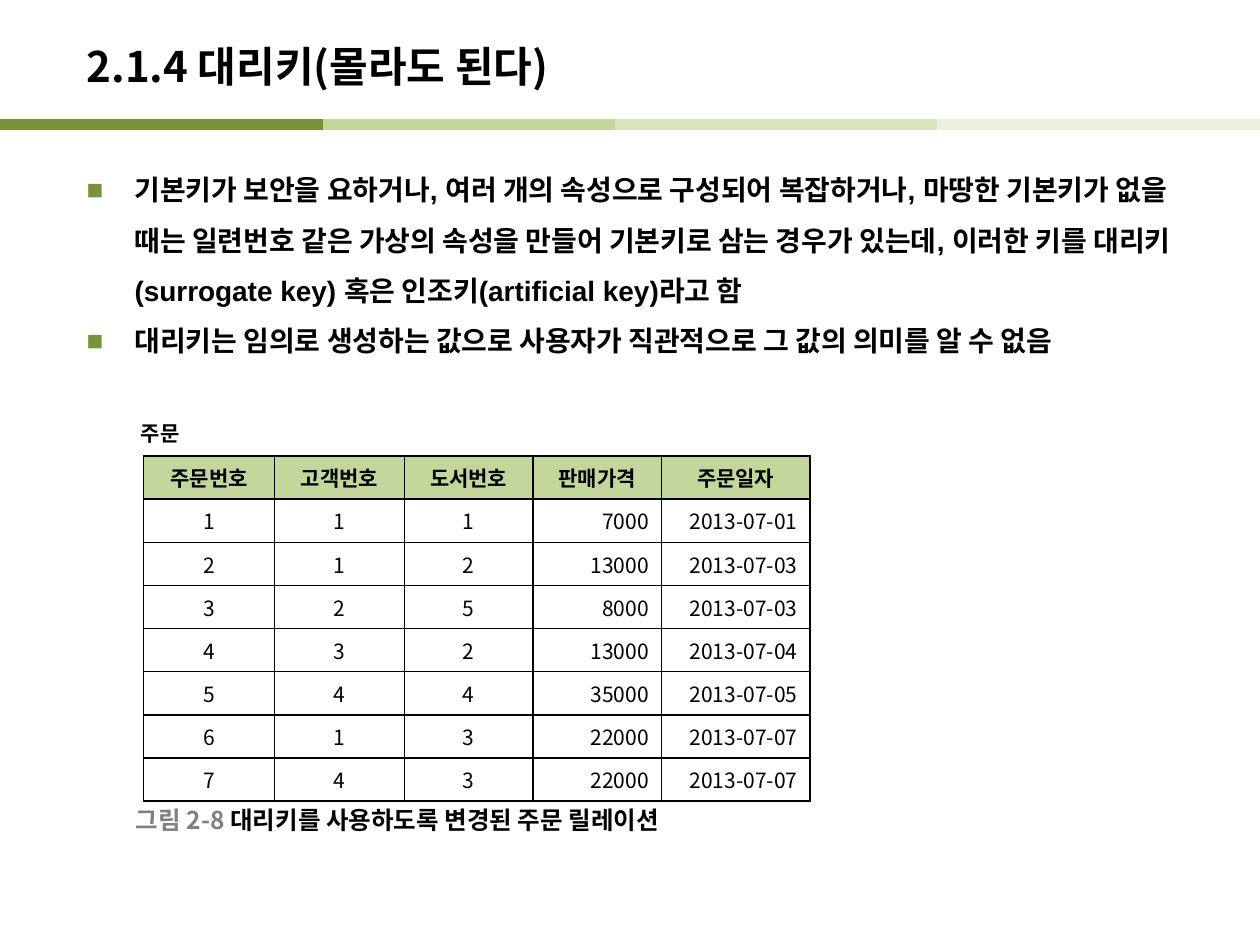
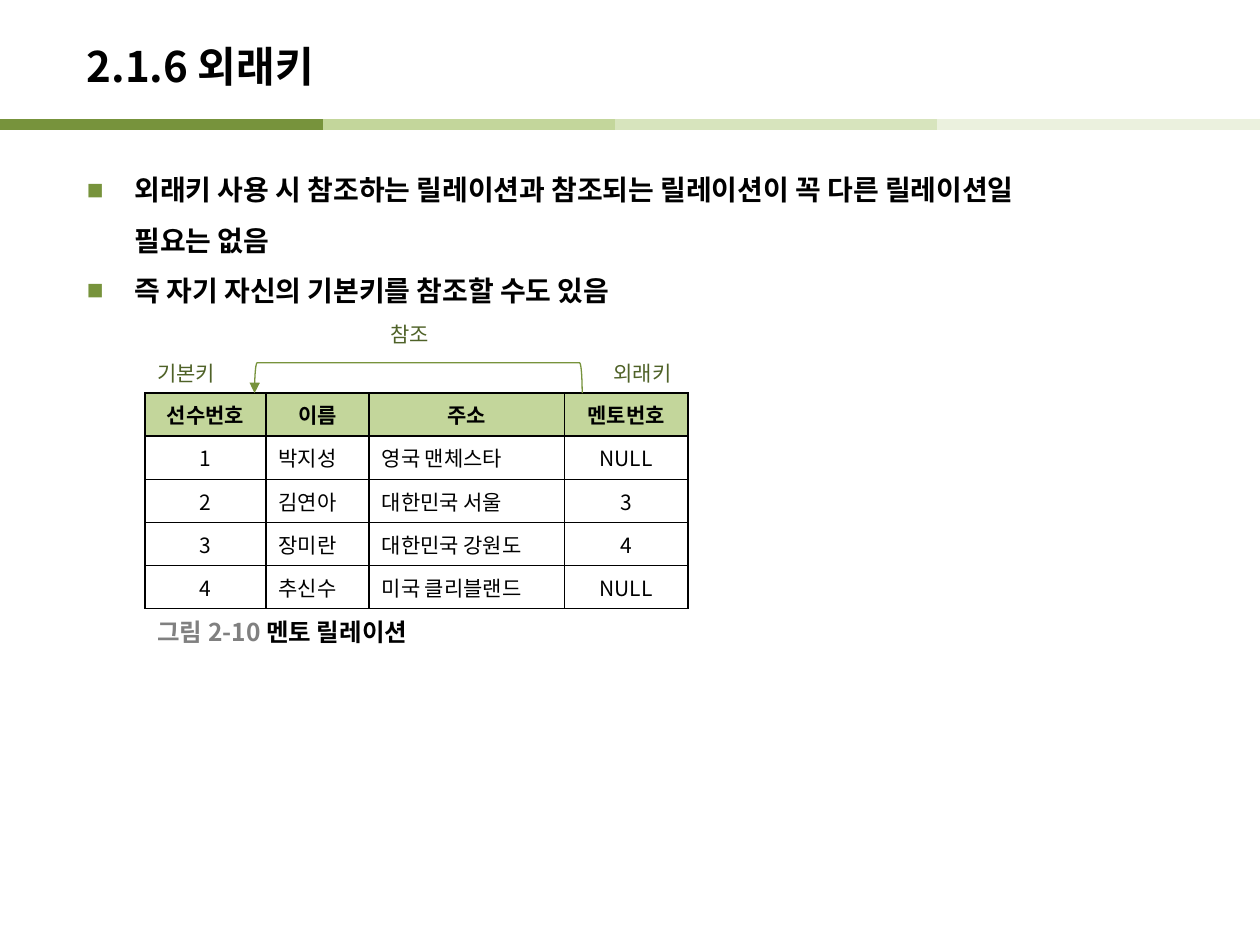
import copy
from dataclasses import dataclass
from typing import Any, NamedTuple

import pptx
import pptx.dml.color
import pptx.enum.dml
import pptx.enum.shapes
import pptx.enum.text
import pptx.oxml
import pptx.oxml.ns
import pptx.util

Inches = pptx.util.Inches
Pt = pptx.util.Pt
RGB = pptx.dml.color.RGBColor.from_string
qn = pptx.oxml.ns.qn
Align = pptx.enum.text.PP_ALIGN
Anchor = pptx.enum.text.MSO_ANCHOR
AutoSize = pptx.enum.text.MSO_AUTO_SIZE


@dataclass(frozen=True)
class Theme:
    korean: str = "Noto Sans CJK KR"
    latin: str = "Arial"
    black: str = "000000"
    gray: str = "808080"
    label: str = "4F6228"
    accent: str = "77933C"
    header: str = "C3D69B"
    pale: str = "D7E4BD"
    faint: str = "EBF1DE"
    title_size: int = 24
    body_size: int = 16
    caption_size: int = 14
    small_size: int = 12


THEME = Theme()


class Style(NamedTuple):
    size: int
    color: str = THEME.black
    bold: bool = True
    font: str = THEME.korean


class Box(NamedTuple):
    left: float
    top: float
    width: float
    height: float

    def emu(self) -> list[int]:
        return [Inches(v) for v in self]


class Band(NamedTuple):
    start: float
    end: float
    color: str


class Label(NamedTuple):
    box: Box
    text: str
    style: Style
    wrap: bool = True


class Grid(NamedTuple):
    left: float
    top: float
    widths: list[float]
    aligns: str
    anchor: Any
    rows: list[str]


TITLE = Style(THEME.title_size)
BODY = Style(THEME.body_size, font=THEME.latin)
NUMBER = Style(THEME.caption_size, THEME.gray)
CAPTION = Style(THEME.caption_size)
HEADER = Style(THEME.small_size)
CELL = Style(THEME.small_size, bold=False)
TABLE_NAME = Style(THEME.small_size, font=THEME.latin)
KEY = Style(THEME.small_size, THEME.label, False)

BANDS = [
    Band(2.32, 4.88, THEME.header),
    Band(4.88, 7.44, THEME.pale),
    Band(7.44, 10, THEME.faint),
    Band(0, 2.56, THEME.accent),
]
ALIGNS = {"l": Align.LEFT, "c": Align.CENTER, "r": Align.RIGHT}
ROW_HEIGHT = 2.74 / 8


def apply(obj: Any, formats: dict[str, Any]) -> None:
    for name, value in formats.items():
        setattr(obj, name, value)


def xml(tag: str, content: str = "", attrs: str = "") -> Any:
    ns = pptx.oxml.ns.nsdecls("a")
    return pptx.oxml.parse_xml(f"<a:{tag} {ns} {attrs}>{content}</a:{tag}>")


def solid(color: str) -> str:
    return f'<a:solidFill><a:srgbClr val="{color}"/></a:solidFill>'


def style_run(r: Any, style: Style) -> None:
    apply(r.font, {"size": Pt(style.size), "bold": style.bold, "name": style.font})
    r.font.color.rgb = RGB(style.color)
    rPr = r.font._element
    rPr.set("kern", "0")
    rPr.append(xml("ea", attrs=f'typeface="{THEME.korean}"'))


def add_run(p: Any, text: str, style: Style) -> None:
    r = p.add_run()
    r.text = text
    style_run(r, style)


def add_box(slide: Any, box: Box, **formats: Any) -> Any:
    tf = slide.shapes.add_textbox(*box.emu()).text_frame
    apply(tf, {"word_wrap": True, **formats})
    return tf


def add_frame(slide: Any, title: str) -> None:
    for band in BANDS:
        line = slide.shapes.add_connector(
            pptx.enum.shapes.MSO_CONNECTOR.STRAIGHT,
            Inches(band.start), Inches(0.99), Inches(band.end), Inches(0.99))
        line.line.width = Pt(6)
        line.line.color.rgb = RGB(band.color)
        line._element.spPr.append(xml("effectLst"))
    tf = add_box(slide, Box(0.59, 0.22, 8.27, 0.6), vertical_anchor=Anchor.MIDDLE)
    add_run(tf.paragraphs[0], title, TITLE)


def add_bullets(slide: Any, width: float, items: list[str]) -> None:
    tf = add_box(slide, Box(0.59, 1.19, width, 5.98))
    for i, item in enumerate(items):
        p = tf.paragraphs[0] if i == 0 else tf.add_paragraph()
        p.text = item
        p.line_spacing = 1.5
        pPr = p._p.get_or_add_pPr()
        for name, value in {"marL": 0.38, "indent": -0.38}.items():
            pPr.set(name, str(Inches(value)))
        pPr.append(xml("buClr", f'<a:srgbClr val="{THEME.accent}"/>'))
        pPr.append(xml("buSzPct", attrs='val="60000"'))
        pPr.append(xml("buFont", attrs=f'typeface="{THEME.korean}"'))
        pPr.append(xml("buChar", attrs='char="■"'))
        for r in p.runs:
            style_run(r, BODY)
        for br in p._p.findall(qn("a:br")):
            br.append(copy.deepcopy(p.runs[0].font._element))


def add_table(slide: Any, grid: Grid) -> None:
    box = Box(grid.left, grid.top, sum(grid.widths), ROW_HEIGHT * len(grid.rows))
    table = slide.shapes.add_table(len(grid.rows), len(grid.widths), *box.emu()).table
    table.horz_banding = False
    for column, width in zip(table.columns, grid.widths):
        column.width = Inches(width)
    for i, row in enumerate(grid.rows):
        table.rows[i].height = Inches(ROW_HEIGHT)
        for j, text in enumerate(row.split("|")):
            cell = table.cell(i, j)
            cell.vertical_anchor = grid.anchor
            tcPr = cell._tc.get_or_add_tcPr()
            for side in ("lnL", "lnR", "lnT", "lnB"):
                tcPr.append(xml(side, solid(THEME.black), f'w="{Pt(1)}"'))
            if i == 0:
                cell.fill.solid()
                cell.fill.fore_color.rgb = RGB(THEME.header)
            else:
                cell.fill.background()
            p = cell.text_frame.paragraphs[0]
            p.alignment = Align.CENTER if i == 0 else ALIGNS[grid.aligns[j]]
            add_run(p, text, HEADER if i == 0 else CELL)


def add_label(slide: Any, label: Label) -> None:
    tf = add_box(slide, label.box, word_wrap=label.wrap,
                 auto_size=AutoSize.SHAPE_TO_FIT_TEXT)
    add_run(tf.paragraphs[0], label.text, label.style)


def add_caption(slide: Any, left: float, top: float, number: str, text: str) -> None:
    tf = add_box(slide, Box(left, top, 5, 0.31), vertical_anchor=Anchor.MIDDLE)
    add_run(tf.paragraphs[0], f"{number} ", NUMBER)
    add_run(tf.paragraphs[0], text, CAPTION)


def add_reference_arrow(slide: Any, box: Box) -> None:
    sp = slide.shapes.add_shape(pptx.enum.shapes.MSO_SHAPE.LEFT_BRACKET, *box.emu())
    sp.rotation = 90
    sp.shadow.inherit = False
    sp.fill.background()
    sp.line.width = Pt(0.75)
    sp.line.color.rgb = RGB(THEME.accent)
    sp.line._get_or_add_ln().append(xml("headEnd", attrs='type="triangle"'))


def build_surrogate_key(slide: Any) -> None:
    add_frame(slide, "2.1.4 대리키(몰라도 된다)")
    add_bullets(slide, 8.9, [
        "기본키가 보안을 요하거나, 여러 개의 속성으로 구성되어 복잡하거나, 마땅한 기본키가 "
        "없을 때는 일련번호 같은 가상의 속성을 만들어 기본키로 삼는 경우가 있는데, 이러한 키를 "
        "대리키(surrogate key) 혹은 인조키(artificial key)라고 함",
        "대리키는 임의로 생성하는 값으로 사용자가 직관적으로 그 값의 의미를 알 수 없음",
    ])
    add_table(slide, Grid(1.14, 3.62, [1.04, 1.03, 1.02, 1.02, 1.18], "cccrr", Anchor.MIDDLE, [
        "주문번호|고객번호|도서번호|판매가격|주문일자",
        "1|1|1|7000|2013-07-01",
        "2|1|2|13000|2013-07-03",
        "3|2|5|8000|2013-07-03",
        "4|3|2|13000|2013-07-04",
        "5|4|4|35000|2013-07-05",
        "6|1|3|22000|2013-07-07",
        "7|4|3|22000|2013-07-07",
    ]))
    add_label(slide, Label(Box(1.02, 3.29, 0.54, 0.3), "주문", TABLE_NAME, False))
    add_caption(slide, 0.98, 6.35, "그림 2-8", "대리키를 사용하도록 변경된 주문 릴레이션")


def build_foreign_key(slide: Any) -> None:
    add_frame(slide, "2.1.6 외래키")
    add_bullets(slide, 8.82, [
        "외래키 사용 시 참조하는 릴레이션과 참조되는 릴레이션이 꼭 다른 릴레이션일 \v필요는 없음",
        "즉 자기 자신의 기본키를 참조할 수도 있음",
    ])
    add_table(slide, Grid(1.15, 3.12, [0.96, 0.82, 1.55, 0.98], "cllc", Anchor.TOP, [
        "선수번호|이름|주소|멘토번호",
        "1|박지성|영국 맨체스타|NULL",
        "2|김연아|대한민국 서울|3",
        "3|장미란|대한민국 강원도|4",
        "4|추신수|미국 클리블랜드|NULL",
    ]))
    add_reference_arrow(slide, Box(3.2, 1.7, 0.24, 2.6))
    for left, top, text in [(1.15, 2.81, "기본키"), (4.77, 2.81, "외래키"), (3, 2.5, "참조")]:
        add_label(slide, Label(Box(left, top, 1.38, 0.3), text, KEY))
    add_caption(slide, 1.15, 4.86, "그림 2-10", "멘토 릴레이션")


def main() -> None:
    prs = pptx.Presentation()
    apply(prs, {"slide_width": Inches(10), "slide_height": Inches(7.5)})
    for build in (build_surrogate_key, build_foreign_key):
        build(prs.slides.add_slide(prs.slide_layouts[6]))
    prs.save("out.pptx")


if __name__ == "__main__":
    main()
